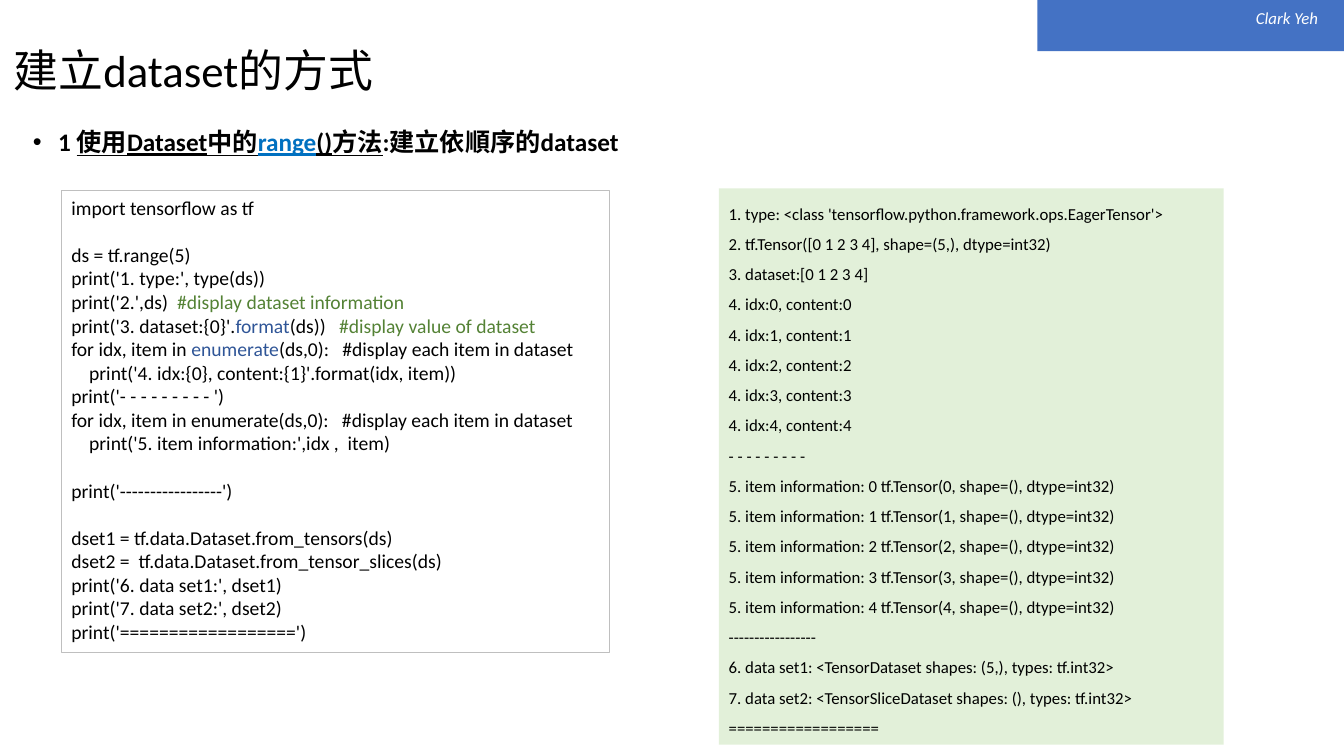
from lxml import etree
from pptx import Presentation
from pptx import util as u
from pptx.dml import color
from pptx.enum import shapes, text
from pptx.oxml import ns

Pt = u.Pt
BLACK, WHITE, GREEN, NAVY = "000000", "FFFFFF", "548235", "2F5597"
CODE_INDENT, CODE_LINE = 12.7, 17


def paint(format_part, hex_colour):
    """Give a fill, or a font's or line's fill, a solid colour."""
    format_part.solid()
    format_part.fore_color.rgb = color.RGBColor.from_string(hex_colour)


def add_runs(paragraph, runs, size, bold=None, italic=None):
    """Add (wording, colour, underlined) runs to a paragraph."""
    for wording, hex_colour, *underlined in runs:
        run = paragraph.add_run()
        run.text = wording
        font = run.font
        font.name, font.size = "Calibri", Pt(size)
        font.bold, font.italic = bold, italic
        font.underline = True if underlined else None
        paint(font.fill, hex_colour)


presentation = Presentation()
presentation.slide_width, presentation.slide_height = Pt(960), Pt(540)
slide = presentation.slides.add_slide(presentation.slide_layouts[5])

# Corner bar with the author's name
bar = slide.shapes.add_shape(shapes.MSO_SHAPE.RECTANGLE, Pt(741), 0, Pt(219), Pt(36.5))
bar.shadow.inherit = False
paint(bar.fill, "4472C4")
bar.line.fill.background()
author = slide.shapes.add_textbox(Pt(890), Pt(2), Pt(62.6), Pt(21.8))
author.text_frame.word_wrap = False
add_runs(author.text_frame.paragraphs[0], [("Clark Yeh", WHITE)], 12, italic=True)

# Title
title = slide.shapes.title
title.left, title.top, title.width, title.height = Pt(2.5), 0, Pt(828), Pt(104.4)
title.text_frame.vertical_anchor = text.MSO_ANCHOR.MIDDLE
title.text_frame.auto_size = text.MSO_AUTO_SIZE.NONE
paragraph = title.text_frame.paragraphs[0]
paragraph.alignment = text.PP_ALIGN.LEFT
paragraph.line_spacing = 0.9
add_runs(paragraph, [("建立dataset的方式", BLACK)], 32)

# Bulleted heading
heading = slide.shapes.add_textbox(Pt(16.5), Pt(89.3), Pt(828), Pt(49.7))
heading.text_frame.word_wrap = True
paragraph = heading.text_frame.paragraphs[0]
paragraph.line_spacing, paragraph.space_before = 0.9, Pt(10)
properties = paragraph._p.get_or_add_pPr()
properties.set("marL", str(Pt(18)))
properties.set("indent", str(Pt(-18)))
etree.SubElement(properties, ns.qn("a:buFont"), typeface="Arial")
etree.SubElement(properties, ns.qn("a:buChar"), char="•")
add_runs(paragraph, [
    ("1 ", BLACK),
    ("使用Dataset中的", BLACK, True),
    ("range", "0070C0", True),
    ("()方法", BLACK, True),
    (":建立依順序的dataset", BLACK),
], 18, bold=True)

# Each line: blank lines above, indent levels, runs
code_lines = [
    (0, 0, [("import tensorflow as tf", BLACK)]),
    (1, 0, [("ds = tf.range(5)", BLACK)]),
    (0, 0, [("print('1. type:', type(ds))", BLACK)]),
    (0, 0, [("print('2.',ds)  ", BLACK), ("#display dataset information", GREEN)]),
    (0, 0, [("print('3. dataset:{0}'.", BLACK), ("format", NAVY),
            ("(ds))   ", BLACK), ("#display value of dataset", GREEN)]),
    (0, 0, [("for idx, item in ", BLACK), ("enumerate", NAVY),
            ("(ds,0):   #display each item in dataset", BLACK)]),
    (0, 1, [("print('4. idx:{0}, content:{1}'.format(idx, item))", BLACK)]),
    (0, 0, [("print('- - - - - - - - - ')", BLACK)]),
    (0, 0, [("for idx, item in enumerate(ds,0):   #display each item in dataset", BLACK)]),
    (0, 1, [("print('5. item information:',idx ,  item)", BLACK)]),
    (1, 0, [("print('-----------------')", BLACK)]),
    (1, 0, [("dset1 = tf.data.Dataset.from_tensors(ds)", BLACK)]),
    (0, 0, [("dset2 =  tf.data.Dataset.from_tensor_slices(ds)", BLACK)]),
    (0, 0, [("print('6. data set1:', dset1)", BLACK)]),
    (0, 0, [("print('7. data set2:', dset2)", BLACK)]),
    (0, 0, [("print('==================')", BLACK)]),
]
output_lines = [(0, 0, [(line, BLACK)]) for line in [
    "1. type: <class 'tensorflow.python.framework.ops.EagerTensor'>",
    "2. tf.Tensor([0 1 2 3 4], shape=(5,), dtype=int32)",
    "3. dataset:[0 1 2 3 4]",
    *[f"4. idx:{index}, content:{index}" for index in range(5)],
    "- - - - - - - - - ",
    *[f"5. item information: {index} tf.Tensor({index}, shape=(), dtype=int32)"
      for index in range(5)],
    "-----------------",
    "6. data set1: <TensorDataset shapes: (5,), types: tf.int32>",
    "7. data set2: <TensorSliceDataset shapes: (), types: tf.int32>",
    "==================",
]]

# Code panel and output panel: place, fill, outline, size, line spacing, lines
panels = [
    ((43.9, 136.1, 391.7, 329.8), None, "BFBFBF", 14, 1.0, code_lines),
    ((513.4, 134.6, 360.7, 397.4), "E2F0D9", None, 12, 1.5, output_lines),
]
for place, fill, outline, size, spacing, lines in panels:
    panel = slide.shapes.add_shape(shapes.MSO_SHAPE.RECTANGLE, *map(Pt, place))
    panel.shadow.inherit = False
    for format_part, hex_colour in ((panel.fill, fill), (panel.line.fill, outline)):
        if hex_colour:
            paint(format_part, hex_colour)
        else:
            format_part.background()
    if outline:
        panel.line.width = Pt(0.75)
    frame = panel.text_frame
    frame.word_wrap = True
    frame.vertical_anchor = text.MSO_ANCHOR.TOP
    for number, (blank_lines, level, runs) in enumerate(lines):
        paragraph = frame.add_paragraph() if number else frame.paragraphs[0]
        paragraph.alignment = text.PP_ALIGN.LEFT
        paragraph.line_spacing = spacing
        paragraph.space_before = Pt(blank_lines * CODE_LINE)
        paragraph._p.get_or_add_pPr().set("marL", str(Pt(level * CODE_INDENT)))
        add_runs(paragraph, runs, size)

presentation.save("out.pptx")
